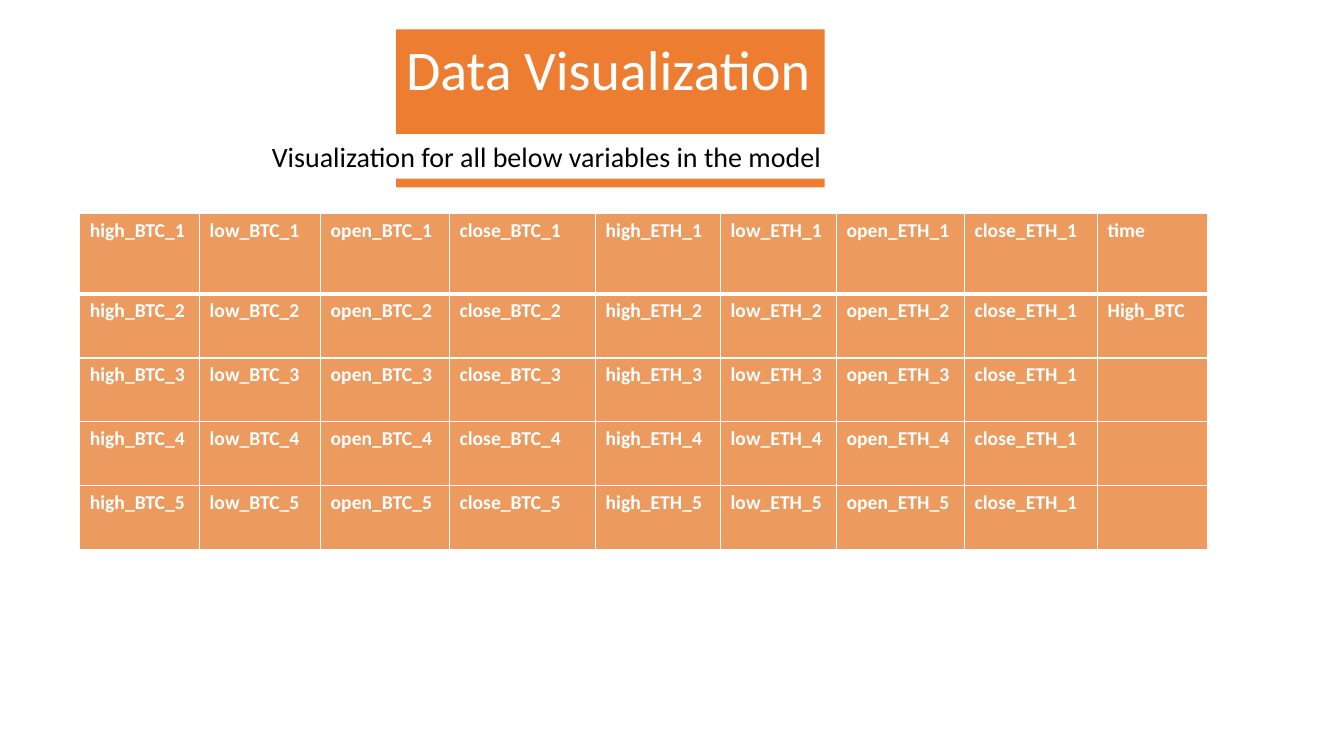
from dataclasses import dataclass

from lxml.etree import SubElement
from pptx import Presentation
from pptx.dml.color import RGBColor
from pptx.enum.text import MSO_ANCHOR, MSO_AUTO_SIZE, PP_ALIGN
from pptx.oxml.ns import qn
from pptx.util import Cm, Pt

FONT = "Calibri"
WHITE = "FFFFFF"
BLACK = "000000"
TITLE_ORANGE = "ED7D31"
CELL_ORANGE = "ED9A5F"
ROW_HEIGHTS = [2.03, 1.61, 1.61, 1.61, 1.61]


@dataclass
class Banner:
    """A filled text block, with lengths in centimetres."""

    text: str
    left: float
    top: float
    width: float
    height: float
    fill: str
    size: float
    color: str


@dataclass
class Variable:
    """A table column: its width in centimetres and its entries."""

    width: float
    entries: list[str]


def numbered(stem: str) -> list[str]:
    """Return one numbered variable name for each table row."""
    return [f"{stem}_{lag}" for lag in range(1, len(ROW_HEIGHTS) + 1)]


TITLE = Banner("Data Visualization", 9.98, 0.74, 10.8, 1.96, TITLE_ORANGE, 40, WHITE)
SUBTITLE = Banner("Visualization for all below variables in the model",
                  6.6, 3.38, 14.81, 1.12, WHITE, 20, BLACK)
VARIABLES = [
    Variable(3.02, numbered("high_BTC")),
    Variable(3.05, numbered("low_BTC")),
    Variable(3.25, numbered("open_BTC")),
    Variable(3.68, numbered("close_BTC")),
    Variable(3.15, numbered("high_ETH")),
    Variable(2.92, numbered("low_ETH")),
    Variable(3.23, numbered("open_ETH")),
    Variable(3.35, ["close_ETH_1"] * len(ROW_HEIGHTS)),
    Variable(2.77, ["time", "High_BTC"]),
]


def paint(target, color: str) -> None:
    """Give a fill or a font a solid hex colour."""
    if hasattr(target, "solid"):
        target.solid()
        target.fore_color.rgb = RGBColor.from_string(color)
    else:
        target.color.rgb = RGBColor.from_string(color)


def format_runs(text_frame, size: float, color: str, bold: bool = False) -> None:
    """Set the font of every run in a text frame."""
    for paragraph in text_frame.paragraphs:
        paragraph.alignment = PP_ALIGN.LEFT
        for run in paragraph.runs:
            run.font.name = FONT
            run.font.size = Pt(size)
            run.font.bold = bold
            paint(run.font, color)


def draw_banner(shape, banner: Banner) -> None:
    """Place, fill and letter a title or text box."""
    shape.left, shape.top = Cm(banner.left), Cm(banner.top)
    shape.width, shape.height = Cm(banner.width), Cm(banner.height)
    paint(shape.fill, banner.fill)
    frame = shape.text_frame
    frame.text = banner.text
    frame.word_wrap = True
    frame.auto_size = MSO_AUTO_SIZE.SHAPE_TO_FIT_TEXT
    frame.vertical_anchor = MSO_ANCHOR.TOP
    format_runs(frame, banner.size, banner.color)


def add_border(cell, side: str, points: float) -> None:
    """Add a white border to one side of a cell."""
    border = SubElement(cell._tc.get_or_add_tcPr(), qn(f"a:ln{side}"), w=str(Pt(points)))
    SubElement(SubElement(border, qn("a:solidFill")), qn("a:srgbClr"), val=WHITE)


def draw_variables(slide, variables: list[Variable]) -> None:
    """Draw the table of model variables."""
    width = sum(variable.width for variable in variables)
    table = slide.shapes.add_table(
        len(ROW_HEIGHTS), len(variables), Cm(2.01), Cm(5.38), Cm(width), Cm(sum(ROW_HEIGHTS))
    ).table
    for row, height in zip(table.rows, ROW_HEIGHTS):
        row.height = Cm(height)
    for column, variable in enumerate(variables):
        table.columns[column].width = Cm(variable.width)
        for row, entry in enumerate(variable.entries):
            frame = table.cell(row, column).text_frame
            frame.text = entry
            format_runs(frame, 14, WHITE, bold=True)
        for row in range(len(ROW_HEIGHTS)):
            cell = table.cell(row, column)
            borders = {"L": 1, "R": 1, "T": 3 if row == 1 else 1, "B": 3 if row == 0 else 1}
            for side, points in borders.items():
                add_border(cell, side, points)
            paint(cell.fill, CELL_ORANGE)


def main() -> None:
    """Build and save the slide."""
    presentation = Presentation()
    presentation.slide_width, presentation.slide_height = Cm(33.87), Cm(19.05)
    slide = presentation.slides.add_slide(presentation.slide_layouts[5])
    draw_banner(slide.shapes.title, TITLE)
    draw_variables(slide, VARIABLES)
    draw_banner(slide.shapes.add_textbox(0, 0, 0, 0), SUBTITLE)
    presentation.save("out.pptx")


if __name__ == "__main__":
    main()
